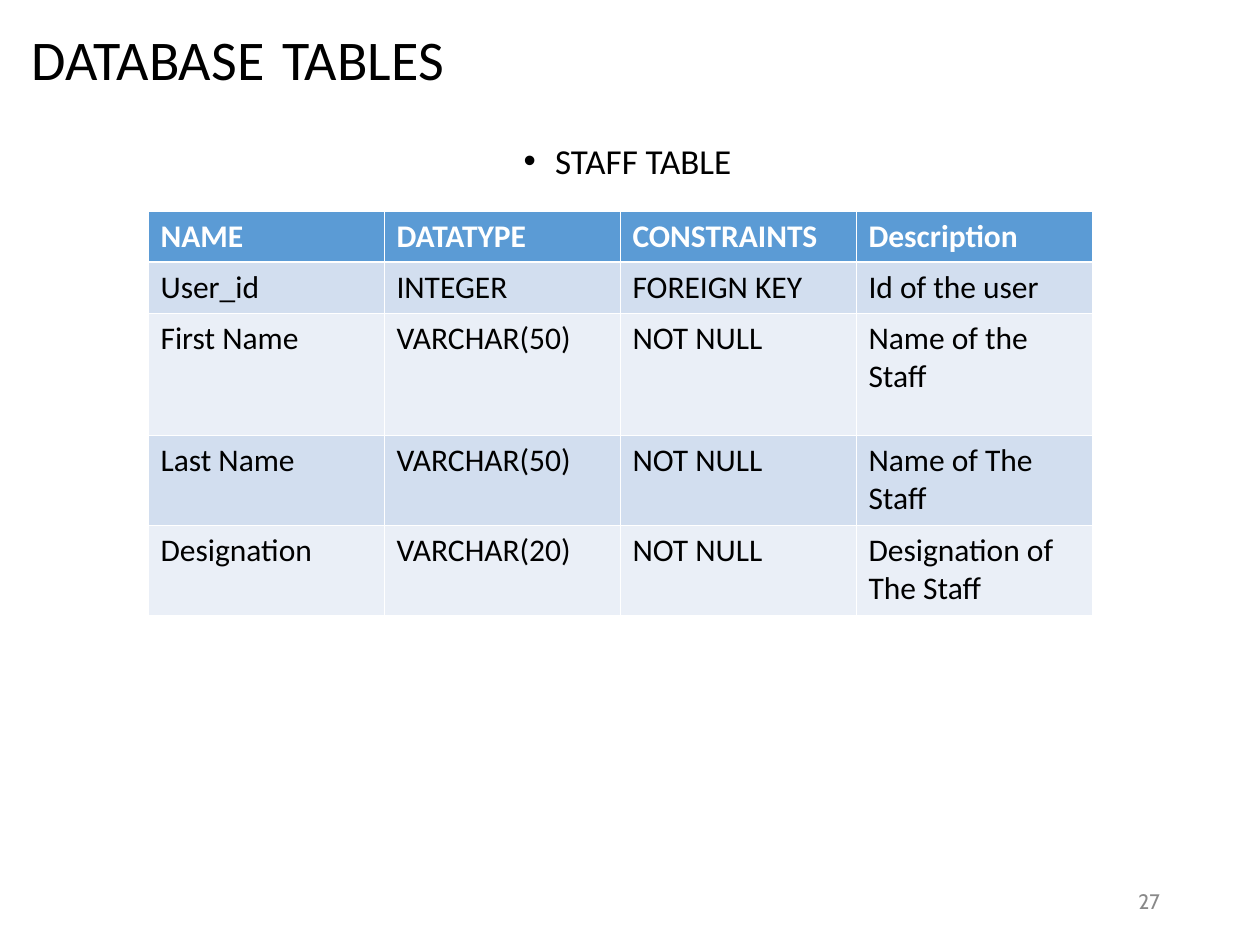
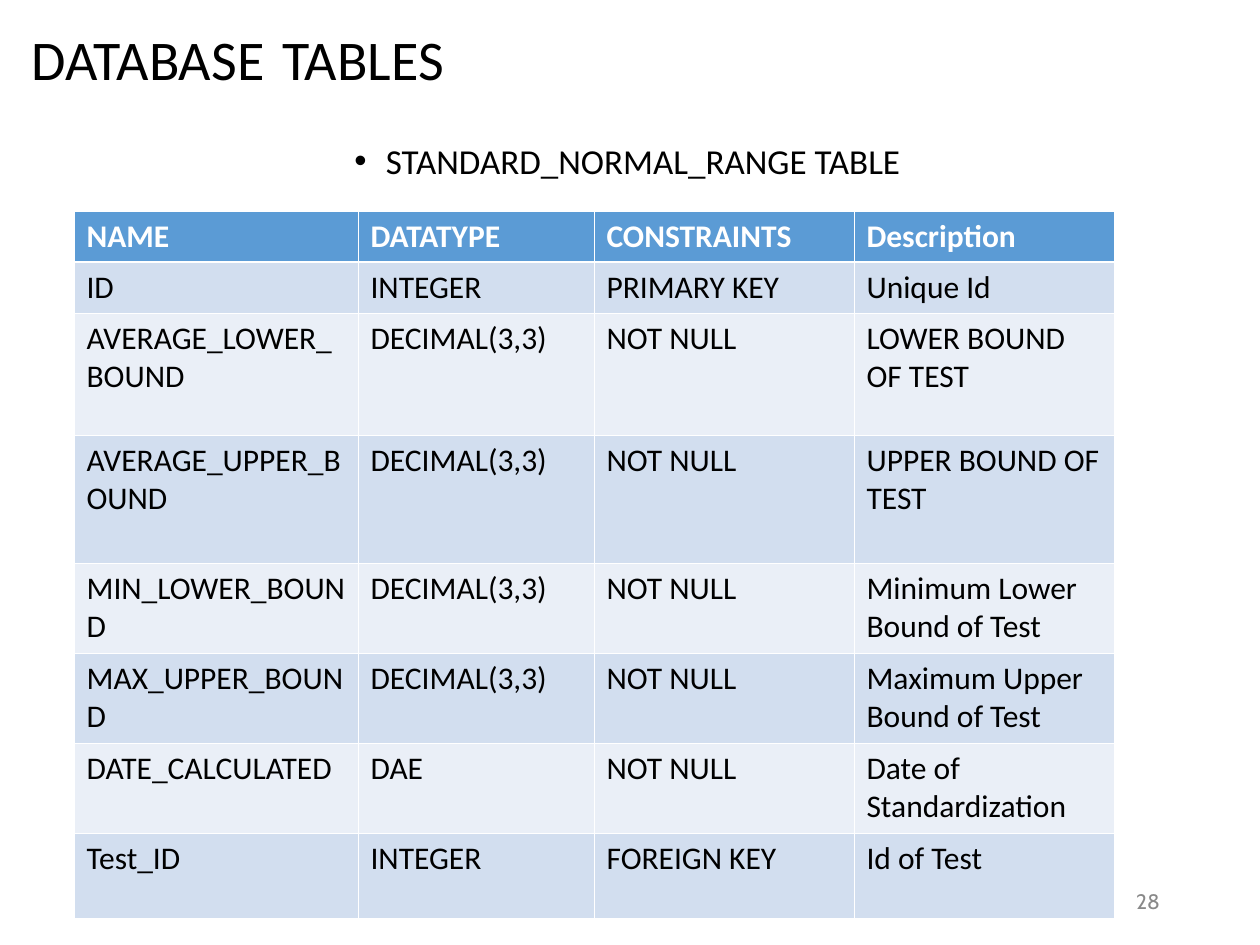
from lxml.etree import SubElement
from pptx import Presentation
from pptx.dml.color import RGBColor
from pptx.enum.text import MSO_ANCHOR as Anchor, MSO_AUTO_SIZE as AutoSize, PP_ALIGN as Align
from pptx.oxml.ns import qn
from pptx.util import Emu, Pt

PX = 914400 / 126
COLORS = {
    "ink": "000000",
    "white": "FFFFFF",
    "header": "5B9BD5",
    "odd_row": "D2DEEF",
    "even_row": "EAEFF7",
    "number": "898989",
}
TITLE_ONLY = 5
THIN, THICK = 0.45, 1.47
HEADER = ("NAME", "DATATYPE", "CONSTRAINTS", "Description")

TABLES = [
    {
        "number": "27",
        "heading": "STAFF TABLE",
        "left": 148,
        "columns": [236] * 4,
        "heights": [51, 51, 122, 90, 90],
        "fields": [
            ("User_id", "INTEGER", "FOREIGN KEY", "Id of the user"),
            ("First Name", "VARCHAR(50)", "NOT NULL", "Name of the Staff"),
            ("Last Name", "VARCHAR(50)", "NOT NULL", "Name of The Staff"),
            ("Designation", "VARCHAR(20)", "NOT NULL", "Designation of The Staff"),
        ],
    },
    {
        "number": "28",
        "heading": "STANDARD_NORMAL_RANGE TABLE",
        "left": 74,
        "columns": [284, 236, 260, 260],
        "heights": [51, 51, 122, 128, 90, 90, 90, 85],
        "fields": [
            ("ID", "INTEGER", "PRIMARY KEY", "Unique Id"),
            ("AVERAGE_LOWER_BOUND", "DECIMAL(3,3)", "NOT NULL", "LOWER BOUND OF TEST"),
            ("AVERAGE_UPPER_BOUND", "DECIMAL(3,3)", "NOT NULL", "UPPER BOUND OF TEST"),
            ("MIN_LOWER_BOUND", "DECIMAL(3,3)", "NOT NULL", "Minimum Lower Bound of Test"),
            ("MAX_UPPER_BOUND", "DECIMAL(3,3)", "NOT NULL", "Maximum Upper Bound of Test"),
            ("DATE_CALCULATED", "DAE", "NOT NULL", "Date of Standardization"),
            ("Test_ID", "INTEGER", "FOREIGN KEY", "Id of Test"),
        ],
    },
]


def px(length):
    return Emu(round(length * PX))


def rgb(name):
    return RGBColor.from_string(COLORS[name])


def add_run(paragraph, text, size, color="ink", font="Calibri", bold=False):
    run = paragraph.add_run()
    run.text = text
    for key, value in {"size": Pt(size), "name": font, "bold": bold}.items():
        setattr(run.font, key, value)
    run.font.color.rgb = rgb(color)


def set_frame(frame, insets, anchor):
    """Fix wrapping, anchor and the left, top, right and bottom insets."""
    sides = ("margin_left", "margin_top", "margin_right", "margin_bottom")
    settings = dict(zip(sides, map(px, insets)))
    settings.update(word_wrap=True, auto_size=AutoSize.NONE, vertical_anchor=anchor)
    for key, value in settings.items():
        setattr(frame, key, value)


def add_text(slide, box, insets, anchor, align):
    """Add a text box and return its first paragraph."""
    frame = slide.shapes.add_textbox(*map(px, box)).text_frame
    set_frame(frame, insets, anchor)
    paragraph = frame.paragraphs[0]
    paragraph.alignment = align
    return paragraph


def add_title(slide):
    title = slide.shapes.title
    title.left, title.top, title.width, title.height = map(px, (24, 10, 470, 84))
    set_frame(title.text_frame, (8, 8, 0, 0), Anchor.MIDDLE)
    paragraph = title.text_frame.paragraphs[0]
    paragraph.alignment = Align.LEFT
    paragraph.line_spacing = 0.9
    for text, size in (("DATABASE", 32), (" ", 44), ("TABLES", 32)):
        add_run(paragraph, text, size)


def add_bullet(paragraph):
    properties = paragraph._p.get_or_add_pPr()
    indent = px(31.5)
    properties.set("marL", str(indent))
    properties.set("indent", str(-indent))
    color = SubElement(properties, qn("a:buClr"))
    SubElement(color, qn("a:srgbClr"), val=COLORS["ink"])
    SubElement(properties, qn("a:buFont"), typeface="Arial")
    SubElement(properties, qn("a:buChar"), char="•")


def add_heading(slide, text):
    paragraph = add_text(slide, (84, 136, 1087, 84), (8, 8, 8, 0), Anchor.TOP, Align.CENTER)
    paragraph.line_spacing = 0.9
    paragraph.space_before = Pt(10)
    add_bullet(paragraph)
    add_run(paragraph, text, 20)


def add_number(slide, number):
    paragraph = add_text(slide, (890, 876, 283, 50), (13, 6, 13, 6), Anchor.MIDDLE, Align.RIGHT)
    add_run(paragraph, number, 12, "number", "Cabin")


def set_borders(cell, row):
    """Draw white cell borders, thicker between the header and the fields."""
    widths = {
        "L": THIN,
        "R": THIN,
        "T": THICK if row == 1 else THIN,
        "B": THICK if row == 0 else THIN,
    }
    properties = cell._tc.get_or_add_tcPr()
    for side, width in widths.items():
        line = SubElement(properties, qn(f"a:ln{side}"), w=str(Pt(width)))
        fill = SubElement(line, qn("a:solidFill"))
        SubElement(fill, qn("a:srgbClr"), val=COLORS["white"])


def fill_cell(cell, text, row):
    set_borders(cell, row)
    is_header = row == 0
    band = "header" if is_header else "odd_row" if row % 2 else "even_row"
    cell.fill.solid()
    cell.fill.fore_color.rgb = rgb(band)
    ink = "white" if is_header else "ink"
    add_run(cell.text_frame.paragraphs[0], text, 18, ink, bold=is_header)


def add_field_table(slide, left, columns, heights, fields):
    box = (left, 211, sum(columns), sum(heights))
    table = slide.shapes.add_table(len(heights), len(columns), *map(px, box)).table
    for column, width in zip(table.columns, columns):
        column.width = px(width)
    for row, height in zip(table.rows, heights):
        row.height = px(height)
    for r, texts in enumerate([HEADER, *fields]):
        for c, text in enumerate(texts):
            fill_cell(table.cell(r, c), text, r)


def main():
    deck = Presentation()
    deck.slide_width, deck.slide_height = px(1260), px(945)
    for content in TABLES:
        slide = deck.slides.add_slide(deck.slide_layouts[TITLE_ONLY])
        add_title(slide)
        add_number(slide, content["number"])
        add_heading(slide, content["heading"])
        add_field_table(
            slide, content["left"], content["columns"], content["heights"], content["fields"]
        )
    deck.save("out.pptx")


if __name__ == "__main__":
    main()
